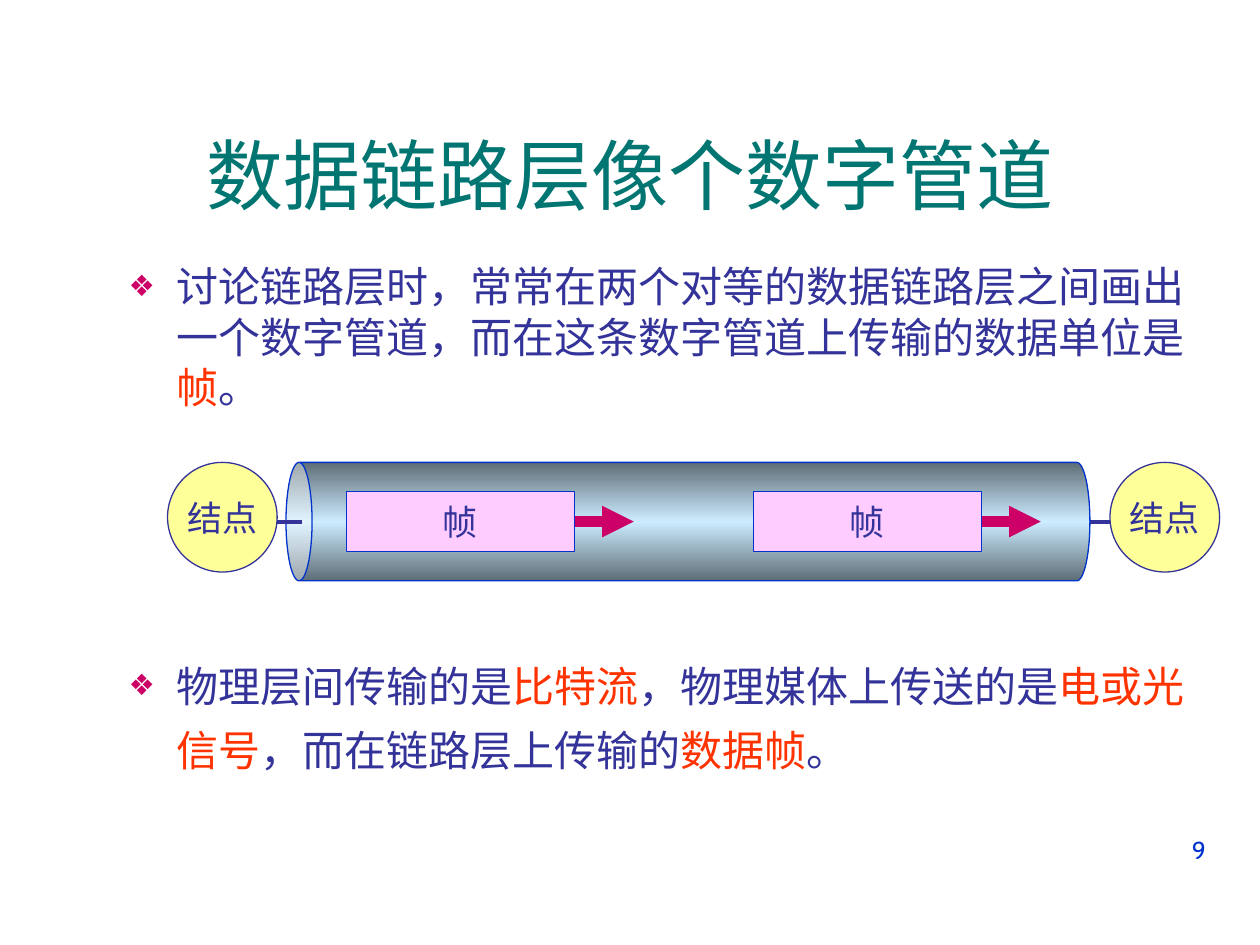
import copy
import pptx
import pptx.util
import pptx.dml.color
import pptx.enum.shapes
import pptx.enum.text
import pptx.oxml
import pptx.oxml.ns

Pt = pptx.util.Pt
Kind = pptx.enum.shapes.MSO_SHAPE
Line = pptx.enum.shapes.MSO_CONNECTOR
Align = pptx.enum.text.PP_ALIGN
Mid = pptx.enum.text.MSO_ANCHOR.MIDDLE
qn = pptx.oxml.ns.qn
NS = pptx.oxml.ns.nsdecls("a")
NAVY, BLUE, RED, ROSE = "333399", "0033CC", "FF3300", "CC0066"


def hue(code):
    return pptx.dml.color.RGBColor.from_string(code)


def write(para, text, size=20, color=NAVY, font="Cabin", align=Align.CENTER):
    para.alignment = align
    run = para.add_run()
    run.text = text
    run.font.size = Pt(size)
    run.font.name = font
    run.font.color.rgb = hue(color)


deck = pptx.Presentation()
deck.slide_width, deck.slide_height = pptx.util.Inches(10), pptx.util.Inches(7.5)
unit = deck.slide_width // 1000
slide = deck.slides.add_slide(deck.slide_layouts[1])
title, body = slide.placeholders
shapes = slide.shapes

page = shapes.add_textbox(717 * unit, 658 * unit, 250 * unit, 52 * unit)
write(page.text_frame.paragraphs[0], "9", size=14, color=BLUE, align=Align.RIGHT)

for hold, spot in ((title, (33, 75, 934, 125)), (body, (92, 202, 888, 529))):
    hold.left, hold.top, hold.width, hold.height = [n * unit for n in spot]
    hold.text_frame.auto_size = pptx.enum.text.MSO_AUTO_SIZE.NONE
title.text_frame.vertical_anchor = Mid
write(title.text_frame.paragraphs[0], "数据链路层像个数字管道", size=44, color="007572", font="Arial")

points = (
    (5, 1.0, ("讨论链路层时，常常在两个对等的数据链路层之间画出一个数字管道，而在这条数字管道上传输的数据单位是",
              "帧", "。")),
    (134, 1.27, ("物理层间传输的是", "比特流", "，物理媒体上传送的是", "电或光信号",
                 "，而在链路层上传输的", "数据帧", "。")),
)
for i, (gap, pitch, runs) in enumerate(points):
    para = body.text_frame.paragraphs[0] if i == 0 else body.text_frame.add_paragraph()
    for j, text in enumerate(runs):
        write(para, text, size=24, color=RED if j % 2 else NAVY, align=Align.LEFT)
    para.space_before, para.line_spacing = Pt(gap), pitch
    props = para._p.get_or_add_pPr()
    props.set("marL", str(38 * unit))
    props.set("indent", str(-38 * unit))
    for mark in (f'<a:buClr {NS}><a:srgbClr val="{ROSE}"/></a:buClr>',
                 f'<a:buSzPct {NS} val="70000"/>', f'<a:buChar {NS} char="❖"/>'):
        props.append(pptx.oxml.parse_xml(mark))

axis = 414 * unit
wire = shapes.add_connector(Line.STRAIGHT, 220 * unit, axis, 881 * unit, axis)
nodes = [shapes.add_shape(Kind.OVAL, x * unit, 367 * unit, 87 * unit, 87 * unit) for x in (133, 881)]

pipe = shapes.add_shape(Kind.CAN, 499 * unit, 95 * unit, 94 * unit, 638 * unit)
pipe.rotation = 270
pipe.adjustments[0] = 0.22
pipe.fill.gradient()
pipe.fill.gradient_angle = 0
stops = pipe._element.spPr.find(qn("a:gradFill")).find(qn("a:gsLst"))
stops.insert(1, copy.deepcopy(stops[0]))
for stop, place, code in zip(pipe.fill.gradient_stops, (0, 0.5, 1), ("5E6D76", "CCECFF", "5E6D76")):
    stop.position = place
    stop.color.rgb = hue(code)

stub = shapes.add_connector(Line.STRAIGHT, 220 * unit, axis, 240 * unit, axis)
frames, moves = [], []
for x in (275, 598):
    frame = shapes.add_shape(Kind.RECTANGLE, x * unit, 390 * unit, 181 * unit, 48 * unit)
    move = shapes.add_connector(Line.STRAIGHT, (x + 181) * unit, axis, (x + 228) * unit, axis)
    move.begin_connect(frame, 3)
    frames.append(frame)
    moves.append(move)

for group, fill, edge, text in ((nodes, "FFFF99", NAVY, "结点"), (frames, "FFCCFF", BLUE, "帧"),
                                ([pipe], None, BLUE, None)):
    for item in group:
        item.shadow.inherit = False
        item.line.color.rgb = hue(edge)
        item.line.width = Pt(0.75)
        if text:
            item.fill.solid()
            item.fill.fore_color.rgb = hue(fill)
            item.text_frame.word_wrap = False
            item.text_frame.vertical_anchor = Mid
            write(item.text_frame.paragraphs[0], text)

for group, code, width in (([wire, stub], NAVY, 2.25), (moves, ROSE, 6)):
    for item in group:
        item.line.color.rgb = hue(code)
        item.line.width = Pt(width)
        item._element.spPr.append(pptx.oxml.parse_xml(f"<a:effectLst {NS}/>"))
for move in moves:
    move.line._get_or_add_ln().append(pptx.oxml.parse_xml(f'<a:tailEnd {NS} type="triangle"/>'))

deck.save("out.pptx")
